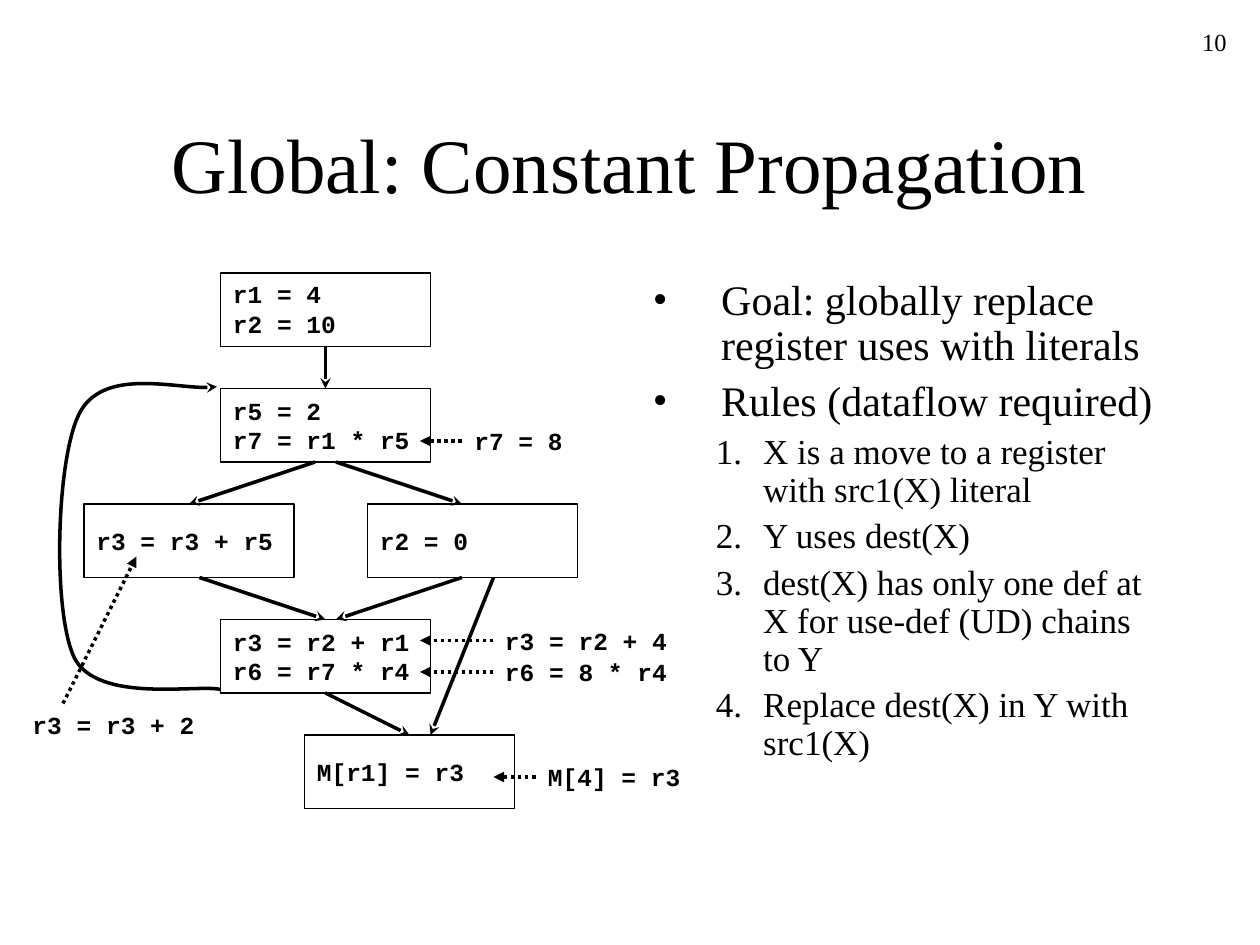
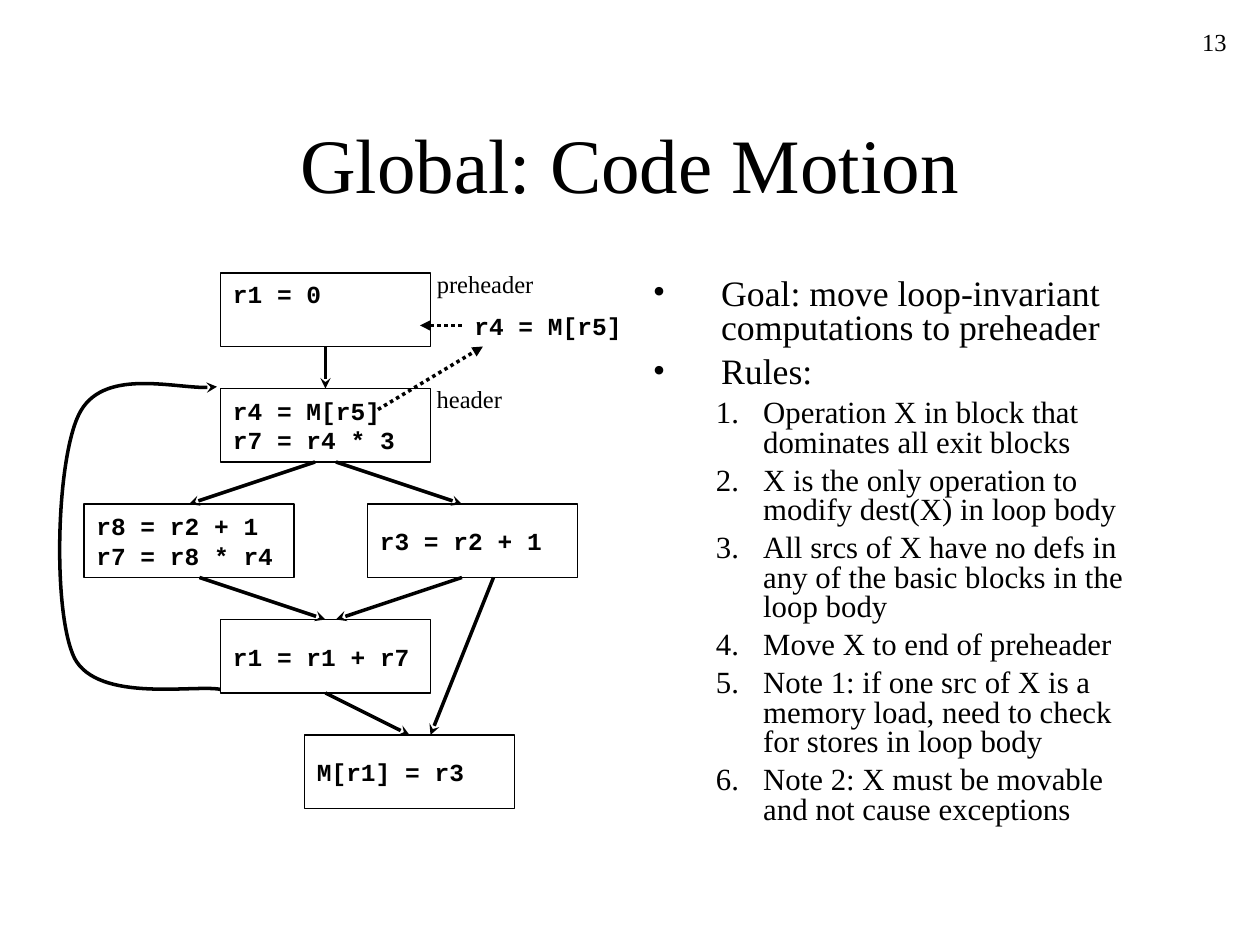
from lxml import etree
from pptx import Presentation
from pptx.dml.color import RGBColor
from pptx.enum.dml import MSO_LINE
from pptx.enum.shapes import MSO_CONNECTOR, MSO_SHAPE
from pptx.enum.text import MSO_ANCHOR, MSO_AUTO_SIZE, PP_ALIGN
from pptx.oxml.ns import qn
from pptx.util import Pt

BLACK = RGBColor(0, 0, 0)
SERIF, MONO = "Times New Roman", "Courier New"
LEFT, CENTER, RIGHT = PP_ALIGN.LEFT, PP_ALIGN.CENTER, PP_ALIGN.RIGHT
TOP, MIDDLE = MSO_ANCHOR.TOP, MSO_ANCHOR.MIDDLE
FIXED = MSO_AUTO_SIZE.NONE
DOTS = MSO_LINE.ROUND_DOT
STRAIGHT, RECT = MSO_CONNECTOR.STRAIGHT, MSO_SHAPE.RECTANGLE

WIDE, HIGH = 120, 42
CHAR, INSET = 8.4, 7.2
ROWS = [156 + 66 * i for i in range(5)]
SPOTS = [(126, ROWS[0]), (126, ROWS[1]), (48, ROWS[2]),
         (210, ROWS[2]), (126, ROWS[3]), (174, ROWS[4])]
FLOWS = [
    (186, 198, 186, 222),
    (180, 264, 108, 288),
    (192, 264, 264, 288),
    (114, 330, 186, 354),
    (264, 330, 192, 354),
    (186, 396, 234, 420),
    (282, 330, 246, 420),
]
LOOP = [(126, 394), (112, 391), (56, 402), (42.5, 376), (30, 350),
        (32, 264), (45, 237), (58, 210), (107, 224), (124, 221)]


class Deck:
    def __init__(self):
        self.show = Presentation()
        self.show.slide_width, self.show.slide_height = Pt(720), Pt(540)

    def start(self, title, number):
        layout = self.show.slide_layouts[5]
        self.slide = self.show.slides.add_slide(layout)
        self.shapes = self.slide.shapes
        head = self.shapes.title
        head.left, head.top, head.width, head.height = Pt(54), Pt(48), Pt(612), Pt(90)
        self.letter(head, title, 44, align=CENTER, anchor=MIDDLE)
        page = self.shapes.add_textbox(Pt(558), Pt(12), Pt(150), Pt(36))
        self.letter(page, number, 14, align=RIGHT)

    def style(self, para, size, face, bold=False):
        font = para.font
        font.size, font.name, font.bold = Pt(size), face, bold
        font.color.rgb = BLACK

    def letter(self, shape, text, size, face=SERIF, bold=False,
               align=LEFT, anchor=TOP, wrap=True):
        frame = shape.text_frame
        frame.word_wrap, frame.auto_size = wrap, FIXED
        frame.vertical_anchor = anchor
        frame.margin_left = frame.margin_right = Pt(INSET)
        frame.margin_top = frame.margin_bottom = Pt(3.6)
        para = frame.paragraphs[0]
        para.text, para.alignment = text, align
        self.style(para, size, face, bold)

    def ink(self, shape, width):
        shape.line.color.rgb = BLACK
        shape.line.width = Pt(width)

    def point(self, shape, kind):
        line = shape.line._get_or_add_ln()
        etree.SubElement(line, qn("a:tailEnd"), type=kind)

    def block(self, left, top, text, anchor):
        box = self.shapes.add_shape(RECT, Pt(left), Pt(top), Pt(WIDE), Pt(HIGH))
        box.shadow.inherit = False
        box.fill.background()
        self.ink(box, 0.75)
        self.letter(box, text, 14, MONO, True, anchor=anchor)

    def arrow(self, ends, dots=False):
        line = self.shapes.add_connector(STRAIGHT, *map(Pt, ends))
        self.ink(line, 2)
        if dots:
            line.line.dash_style = DOTS
        self.point(line, "triangle" if dots else "stealth")
        etree.SubElement(line._element.spPr, qn("a:effectLst"))

    def curve(self, points):
        spots = [(Pt(x), Pt(y)) for x, y in points]
        pen = self.shapes.build_freeform(*spots[0])
        pen.add_line_segments(spots[1:], close=False)
        shape = pen.convert_to_shape()
        shape.shadow.inherit = False
        shape.fill.background()
        self.ink(shape, 2)
        self.point(shape, "stealth")
        steps = list(shape._element.iter(qn("a:lnTo")))
        track = steps[0].getparent()
        for i in range(0, len(steps), 3):
            bend = etree.SubElement(track, qn("a:cubicBezTo"))
            for step in steps[i:i + 3]:
                bend.append(step[0])
                track.remove(step)

    def label(self, left, top, text, face=MONO, width=None):
        width = width or len(text) * CHAR + 2 * INSET
        box = self.shapes.add_textbox(Pt(left), Pt(top), Pt(width), Pt(24.5))
        self.letter(box, text, 14, face, face == MONO, wrap=False)

    def item(self, para, text, size, gap, space, step):
        para.text, para.line_spacing = text, space
        if gap:
            para.space_before = Pt(gap)
        props = para._p.get_or_add_pPr()
        left, hang = (63, 27) if step else (39, 39)
        props.set("marL", str(Pt(left)))
        props.set("indent", str(-Pt(hang)))
        etree.SubElement(props, qn("a:buFont"), typeface=SERIF)
        if step:
            para.level = 1
            etree.SubElement(props, qn("a:buAutoNum"), type="arabicPeriod")
        else:
            etree.SubElement(props, qn("a:buChar"), char="•")
        self.style(para, size, SERIF)

    def notes(self, heads, steps, sizes, gaps, space):
        box = self.shapes.add_textbox(Pt(366), Pt(156), Pt(300), Pt(324))
        frame = box.text_frame
        frame.word_wrap = True
        rows = [(text, 0) for text in heads] + [(text, 1) for text in steps]
        for i, (text, step) in enumerate(rows):
            para = frame.add_paragraph() if i else frame.paragraphs[0]
            self.item(para, text, sizes[step], gaps[step] if i else 0, space, step)

    def graph(self, codes):
        self.curve(LOOP)
        for i, (spot, code) in enumerate(zip(SPOTS, codes)):
            self.block(*spot, code, MIDDLE if i else TOP)
        for flow in FLOWS:
            self.arrow(flow)


def constant(deck):
    deck.start("Global: Constant Propagation", "10")
    deck.graph(["r1 = 4\nr2 = 10", "r5 = 2\nr7 = r1 * r5", "r3 = r3 + r5",
                "r2 = 0", "r3 = r2 + r1\nr6 = r7 * r4", "M[r1] = r3"])
    deck.notes(
        ["Goal: globally replace register uses with literals",
         "Rules (dataflow required)"],
        ["X is a move to a register with src1(X) literal",
         "Y uses dest(X)",
         "dest(X) has only one def at X for use-def (UD) chains to Y",
         "Replace dest(X) in Y with src1(X)"],
        (24, 20), (6, 5), 0.9)
    for left, top, text, ends in [
        (264, 240, "r7 = 8", (264, 252, 240, 252)),
        (11.5, 402, "r3 = r3 + 2", (36, 402, 78, 318)),
        (306, 432, "M[4] = r3", (306, 444, 282, 444)),
        (281.5, 354, "r3 = r2 + 4", (282, 366, 240, 366)),
        (281.5, 372, "r6 = 8 * r4", (282, 384, 240, 384)),
    ]:
        deck.label(left, top, text)
        deck.arrow(ends, dots=True)


def motion(deck):
    deck.start("Global: Code Motion", "13")
    deck.graph(["r1 = 0", "r4 = M[r5]\nr7 = r4 * 3", "r8 = r2 + 1\nr7 = r8 * r4",
                "r3 = r2 + 1", "r1 = r1 + r7", "M[r1] = r3"])
    deck.label(242.5, 150, "preheader", SERIF, 70)
    deck.label(242.5, 216, "header", SERIF, 52)
    deck.notes(
        ["Goal: move loop-invariant computations to preheader", "Rules:"],
        ["Operation X in block that dominates all exit blocks",
         "X is the only operation to modify dest(X) in loop body",
         "All srcs of X have no defs in any of the basic blocks in the loop body",
         "Move X to end of preheader",
         "Note 1: if one src of X is a memory load, need to check "
         "for stores in loop body",
         "Note 2: X must be movable and not cause exceptions"],
        (20.4, 17.6), (5.5, 4.8), 0.8)
    deck.label(264, 174, "r4 = M[r5]")
    deck.arrow((216, 234, 276, 198), dots=True)
    deck.arrow((264, 186, 240, 186), dots=True)


def main():
    deck = Deck()
    constant(deck)
    motion(deck)
    deck.show.save("out.pptx")


if __name__ == "__main__":
    main()
